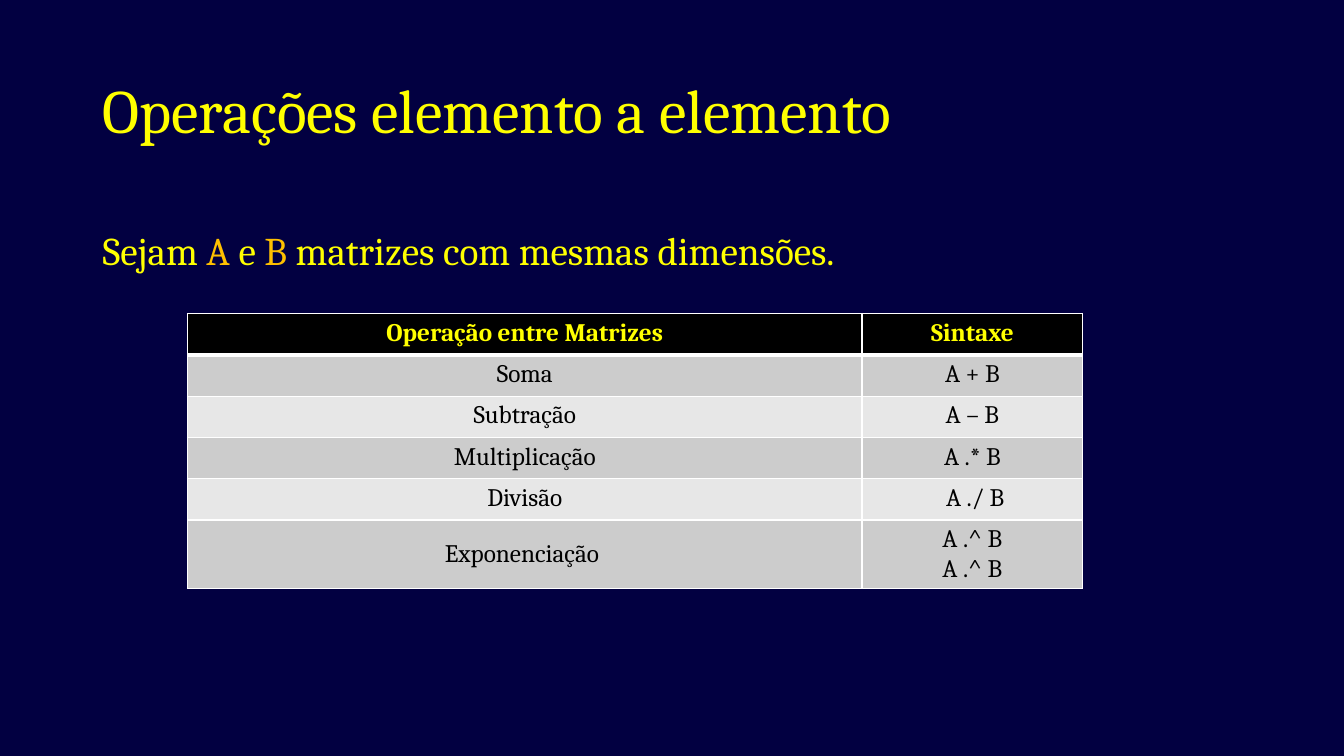
from dataclasses import dataclass
from typing import Any

from lxml import etree
from pptx import Presentation
from pptx.dml.color import RGBColor
from pptx.enum.text import MSO_ANCHOR, MSO_AUTO_SIZE, PP_ALIGN
from pptx.oxml.ns import qn
from pptx.util import Inches, Pt

LEFT, CENTER, JUSTIFY = PP_ALIGN.LEFT, PP_ALIGN.CENTER, PP_ALIGN.JUSTIFY
TOP, MIDDLE = MSO_ANCHOR.TOP, MSO_ANCHOR.MIDDLE
FIXED_SIZE = MSO_AUTO_SIZE.NONE


@dataclass(frozen=True)
class Theme:
    font: str = "Cambria"
    background: str = "020041"
    text: str = "FFFF00"
    accent: str = "FFC000"
    header: str = "000000"
    cell_text: str = "000000"
    bands: tuple[str, str] = ("CCCCCC", "E7E7E7")
    border: str = "FFFFFF"
    title_size: int = 44
    body_size: int = 28
    table_size: int = 18


@dataclass(frozen=True)
class Operation:
    name: str
    syntax: tuple[str, ...]
    anchor: Any = TOP
    height: float = 0.41


THEME = Theme()
HEADER = Operation("Operação entre Matrizes", ("Sintaxe",))
OPERATIONS = (
    Operation("Soma", ("A + B",)),
    Operation("Subtração", ("A – B",)),
    Operation("Multiplicação", ("A .* B",)),
    Operation("Divisão", (" A ./ B",)),
    Operation("Exponenciação ", ("A .^ B", "A .^ B"), MIDDLE, 0.68),
)
COLUMN_WIDTHS = (6.69, 2.19)
SENTENCE = (
    ("Sejam ", THEME.text),
    ("A", THEME.accent),
    (" e ", THEME.text),
    ("B", THEME.accent),
    (" matrizes com mesmas dimensões.", THEME.text),
)


def apply_format(target: Any, values: dict[str, Any]) -> None:
    for name, value in values.items():
        setattr(target, name, value)


def add_run(paragraph: Any, text: str, size: int, color: str, bold: bool = False) -> None:
    run = paragraph.add_run()
    run.text = text
    apply_format(run.font, {"name": THEME.font, "size": Pt(size), "bold": bold})
    run.font.color.rgb = RGBColor.from_string(color)


def add_title(slide: Any) -> None:
    title = slide.shapes.title
    apply_format(title, {"left": Inches(0.92), "top": Inches(0.4),
                         "width": Inches(11.5), "height": Inches(1.45)})
    apply_format(title.text_frame, {"vertical_anchor": MIDDLE, "word_wrap": True,
                                    "auto_size": FIXED_SIZE})
    paragraph = title.text_frame.paragraphs[0]
    apply_format(paragraph, {"alignment": LEFT, "line_spacing": 0.9})
    add_run(paragraph, "Operações elemento a elemento", THEME.title_size, THEME.text)


def add_sentence(slide: Any) -> None:
    body = slide.shapes.add_textbox(Inches(0.92), Inches(2.25), Inches(11.5), Inches(4.5))
    apply_format(body.text_frame, {"word_wrap": True, "auto_size": FIXED_SIZE})
    paragraph = body.text_frame.paragraphs[0]
    apply_format(paragraph, {"alignment": JUSTIFY, "line_spacing": 0.9,
                             "space_before": Pt(10)})
    for text, color in SENTENCE:
        add_run(paragraph, text, THEME.body_size, color)


def add_borders(cell: Any, widths: dict[str, int]) -> None:
    properties = cell._tc.get_or_add_tcPr()
    for side, width in widths.items():
        line = etree.SubElement(properties, qn(f"a:{side}"), w=str(Pt(width)))
        fill = etree.SubElement(line, qn("a:solidFill"))
        etree.SubElement(fill, qn("a:srgbClr"), val=THEME.border)


def fill_cell(cell: Any, lines: tuple[str, ...], row: int, anchor: Any) -> None:
    is_header = row == 0
    add_borders(cell, {"lnL": 1, "lnR": 1, "lnT": 3 if row == 1 else 1,
                       "lnB": 3 if is_header else 1})
    cell.fill.solid()
    fill = THEME.header if is_header else THEME.bands[(row - 1) % 2]
    cell.fill.fore_color.rgb = RGBColor.from_string(fill)
    cell.vertical_anchor = anchor
    frame = cell.text_frame
    for index, text in enumerate(lines):
        paragraph = frame.add_paragraph() if index else frame.paragraphs[0]
        paragraph.alignment = CENTER
        color = THEME.text if is_header else THEME.cell_text
        add_run(paragraph, text, THEME.table_size, color, is_header)


def add_operations_table(slide: Any) -> None:
    rows = (HEADER, *OPERATIONS)
    table = slide.shapes.add_table(
        len(rows), len(COLUMN_WIDTHS), Inches(1.86), Inches(3.11),
        Inches(sum(COLUMN_WIDTHS)), Inches(sum(row.height for row in rows))).table
    for column, width in zip(table.columns, COLUMN_WIDTHS):
        column.width = Inches(width)
    for index, operation in enumerate(rows):
        table.rows[index].height = Inches(operation.height)
        for column, lines in enumerate(((operation.name,), operation.syntax)):
            fill_cell(table.cell(index, column), lines, index, operation.anchor)


def main() -> None:
    presentation = Presentation()
    apply_format(presentation, {"slide_width": Inches(13.33), "slide_height": Inches(7.5)})
    slide = presentation.slides.add_slide(presentation.slide_layouts.get_by_name("Title Only"))
    slide.background.fill.solid()
    slide.background.fill.fore_color.rgb = RGBColor.from_string(THEME.background)
    add_title(slide)
    add_sentence(slide)
    add_operations_table(slide)
    presentation.save("out.pptx")


if __name__ == "__main__":
    main()
